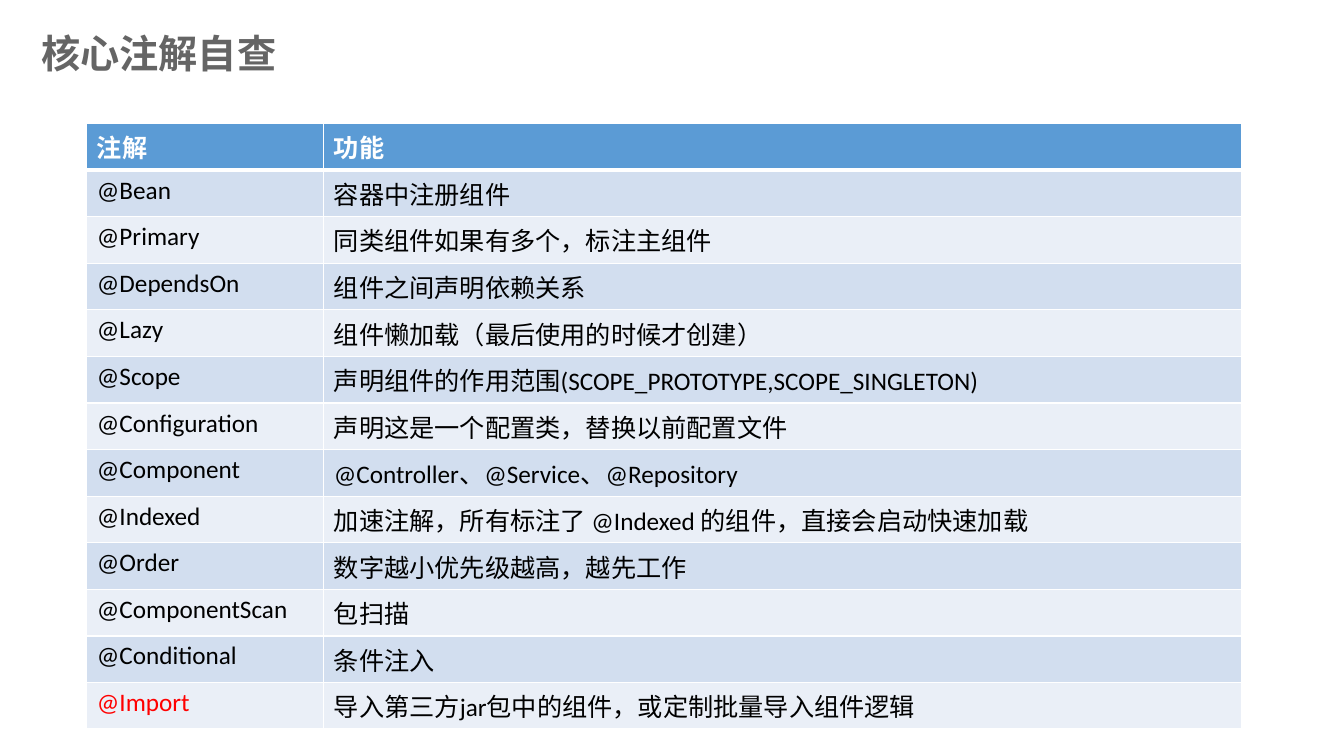
from lxml.etree import SubElement
from pptx import Presentation
from pptx.dml.color import RGBColor as Rgb
from pptx.enum.text import MSO_ANCHOR as Anchor, PP_ALIGN as Align
from pptx.oxml.ns import qn
from pptx.util import Cm, Pt

SANS = "Noto Sans CJK SC"
HEAD = ("注解", "功能")
ROWS = [
    ("@Bean", "容器中注册组件"),
    ("@Primary", "同类组件如果有多个，标注主组件"),
    ("@DependsOn", "组件之间声明依赖关系"),
    ("@Lazy", "组件懒加载（最后使用的时候才创建）"),
    ("@Scope", "声明组件的作用范围(SCOPE_PROTOTYPE,SCOPE_SINGLETON)"),
    ("@Configuration", "声明这是一个配置类，替换以前配置文件"),
    ("@Component", "@Controller、@Service、@Repository"),
    ("@Indexed", "加速注解，所有标注了 @Indexed 的组件，直接会启动快速加载"),
    ("@Order", "数字越小优先级越高，越先工作"),
    ("@ComponentScan", "包扫描"),
    ("@Conditional", "条件注入"),
    ("@Import", "导入第三方jar包中的组件，或定制批量导入组件逻辑"),
]


def color(code):
    return Rgb.from_string(code)


def add_run(para, text, size, font, code, bold):
    run = para.add_run()
    run.text = text
    run.font.size = Pt(size)
    run.font.name = font
    run.font.bold = bold
    run.font.color.rgb = color(code)
    east = SubElement(run.font._element, qn("a:ea"))
    east.set("typeface", SANS)


def add_edges(cell, low):
    props = cell._tc.get_or_add_tcPr()
    sides = {"lnL": 1, "lnR": 1, "lnT": 1, "lnB": low}
    for spot, (side, width) in enumerate(sides.items()):
        line = SubElement(props, qn(f"a:{side}"), w=str(Pt(width)))
        fill = SubElement(line, qn("a:solidFill"))
        SubElement(fill, qn("a:srgbClr"), val="FFFFFF")
        props.insert(spot, line)


def fill_cell(cell, text, back, code, bold, low):
    cell.fill.solid()
    cell.fill.fore_color.rgb = color(back)
    add_edges(cell, low)
    add_run(cell.text_frame.paragraphs[0], text, 18, "Calibri", code, bold)


def add_title(slide, left, top, width, height):
    title = slide.shapes.title
    title.left, title.top, title.width, title.height = left, top, width, height
    frame = title.text_frame
    frame.word_wrap = True
    frame.vertical_anchor = Anchor.MIDDLE
    para = frame.paragraphs[0]
    para.alignment = Align.LEFT
    para.line_spacing = 0.9
    add_run(para, "核心注解自查", 28, SANS, "656565", True)


def add_notes(slide, left, top, width, height):
    grid = slide.shapes.add_table(len(ROWS) + 1, 2, left, top, width, height).table
    grid.columns[0].width = Cm(5.97)
    grid.columns[1].width = width - Cm(5.97)
    for col, text in enumerate(HEAD):
        fill_cell(grid.cell(0, col), text, "5B9BD5", "FFFFFF", True, 3)
    for row, pair in enumerate(ROWS, 1):
        back = "D2DEEF" if row % 2 else "EAEFF7"
        for col, text in enumerate(pair):
            code = "FF0000" if text == "@Import" else "000000"
            fill_cell(grid.cell(row, col), text, back, code, False, 1)


def main():
    deck = Presentation()
    deck.slide_width, deck.slide_height = Cm(33.87), Cm(19.05)
    slide = deck.slides.add_slide(deck.slide_layouts[5])
    add_title(slide, Cm(0.79), Cm(-0.43), Cm(29.21), Cm(3.68))
    add_notes(slide, Cm(2.19), Cm(3.11), Cm(29.11), Cm(13.8))
    deck.save("out.pptx")


if __name__ == "__main__":
    main()
